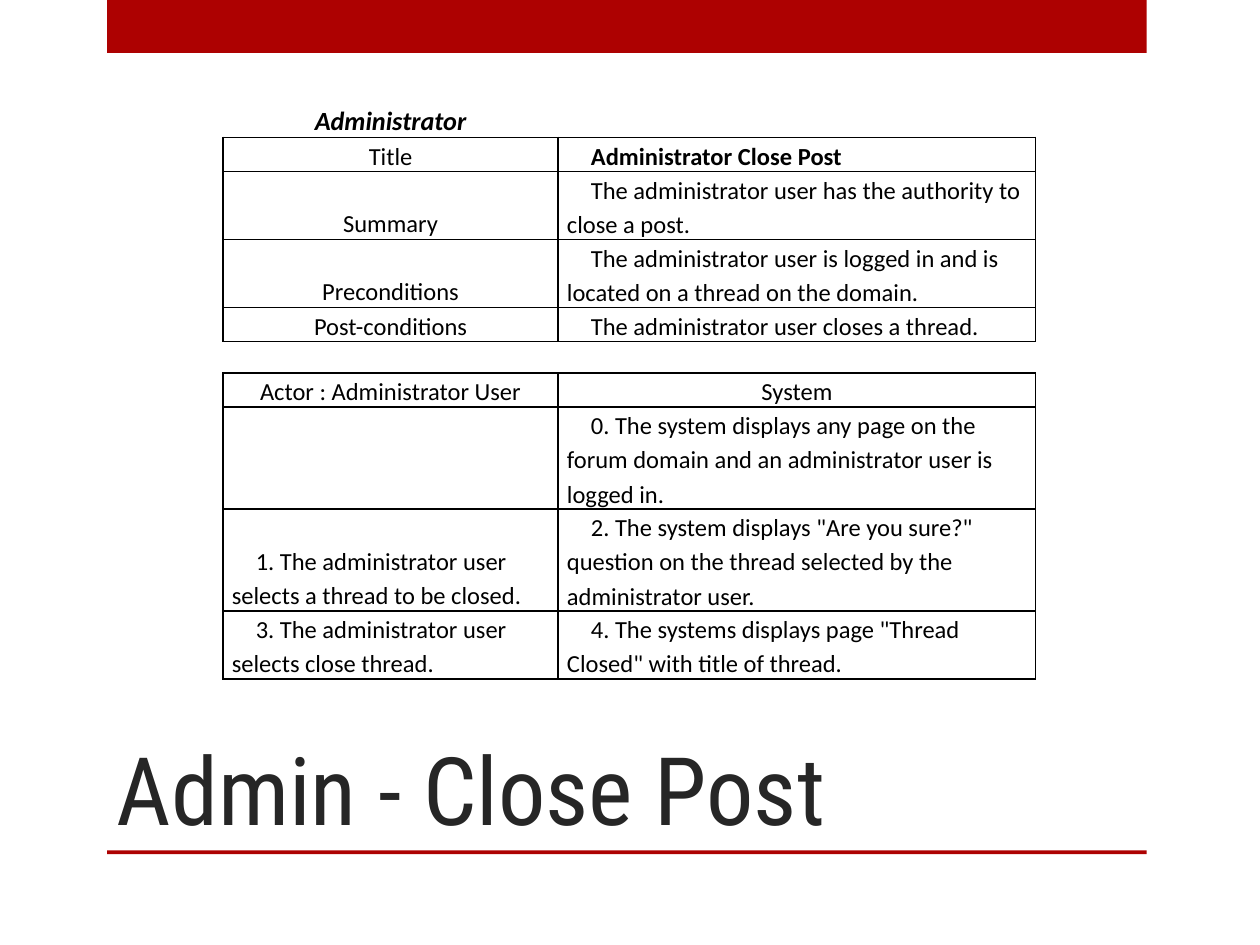
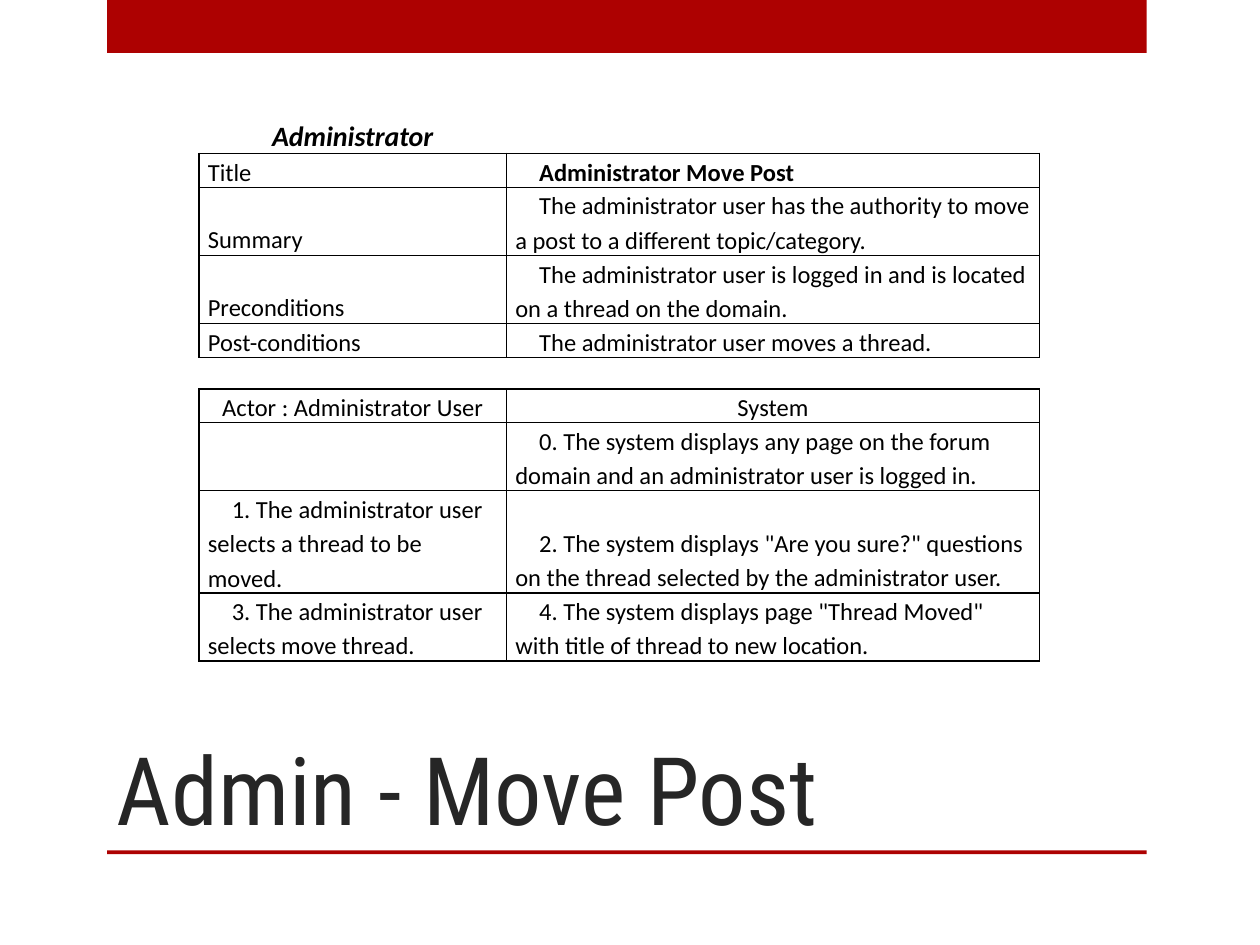
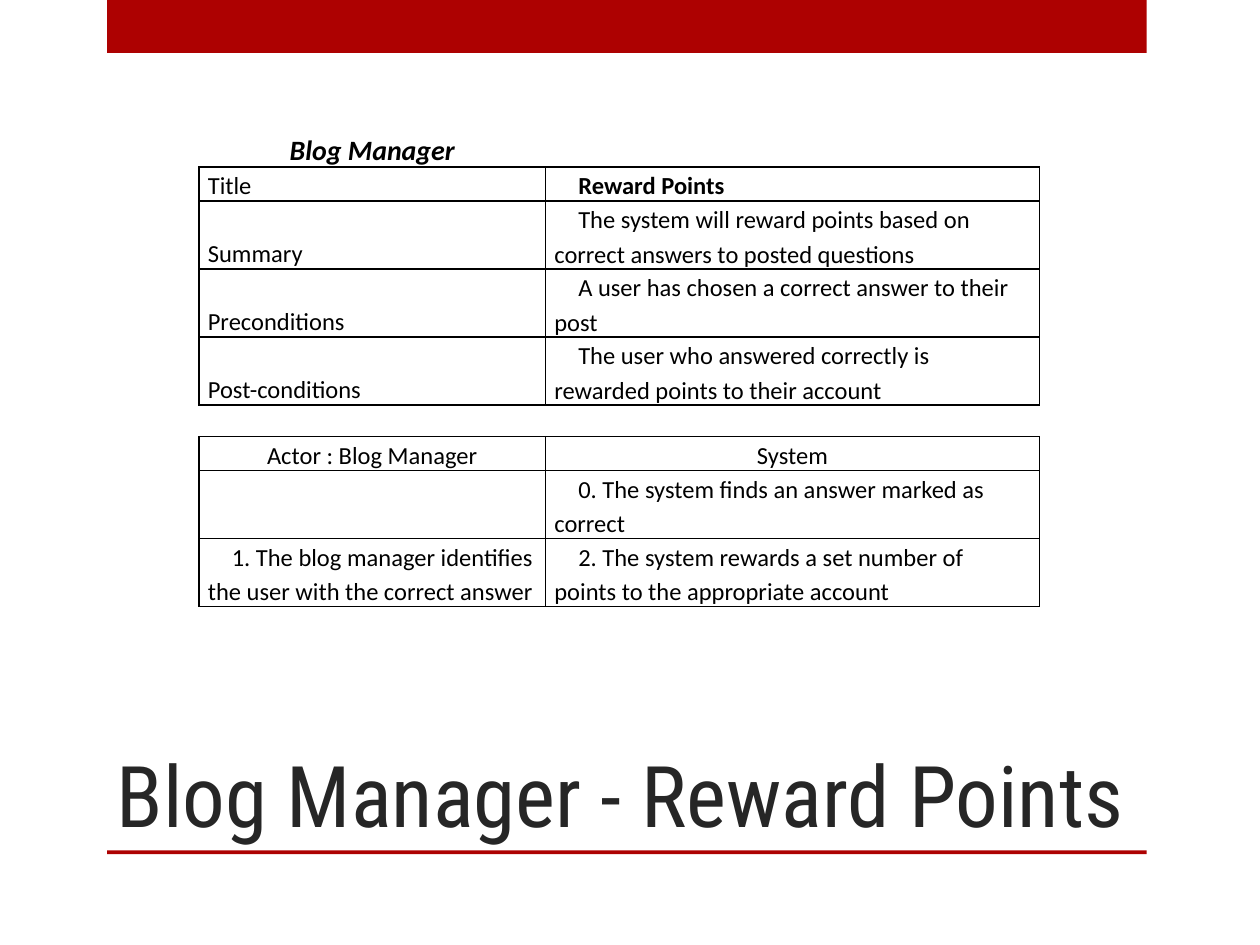
from lxml.etree import SubElement
from pptx import Presentation
from pptx.dml.color import RGBColor
from pptx.enum.shapes import MSO_SHAPE as SHAPE
from pptx.enum.text import MSO_ANCHOR as ANCHOR, PP_ALIGN as ALIGN
from pptx.oxml.ns import qn
from pptx.util import Inches, Pt

RED, INK, BLACK = "AD0101", "262626", "000000"
TITLE_FONT, BODY_FONT = "Roboto Condensed", "Calibri"
LINE_HEIGHT, HEADING_HEIGHT, GAP_HEIGHT = 0.27, 0.3, 0.25
FIELDS = ("Title", "Summary", "Preconditions", "Post-conditions")

USE_CASES = [
    dict(
        title="Admin - Close Post", title_size=54, title_width=7.42,
        box=(1.77, 0.79), cols=(2.66, 3.79), heading_size=15, label_align=ALIGN.CENTER,
        role="Administrator", actor="Administrator User",
        values=(
            ("Administrator Close Post", 1),
            ("The administrator user has the authority to close a post.", 2),
            ("The administrator user is logged in and is located on a thread on the domain.", 2),
            ("The administrator user closes a thread.", 1),
        ),
        steps=(
            ("", "0. The system displays any page on the forum domain and an administrator user is logged in.", 3),
            ("1. The administrator user selects a thread to be closed.",
             '2. The system displays "Are you sure?" question on the thread selected by the administrator user.', 3),
            ("3. The administrator user selects close thread.",
             '4. The systems displays page "Thread Closed" with title of thread.', 2),
        ),
    ),
    dict(
        title="Admin - Move Post", title_size=54, title_width=7.42,
        box=(1.58, 0.91), cols=(2.44, 4.23), heading_size=16, label_align=ALIGN.LEFT,
        role="Administrator", actor="Administrator User",
        values=(
            ("Administrator Move Post", 1),
            ("The administrator user has the authority to move a post to a different topic/category.", 2),
            ("The administrator user is logged in and is located on a thread on the domain.", 2),
            ("The administrator user moves a thread.", 1),
        ),
        steps=(
            ("", "0. The system displays any page on the forum domain and an administrator user is logged in.", 2),
            ("1. The administrator user selects a thread to be moved.",
             '2. The system displays "Are you sure?" questions on the thread selected by the administrator user.', 3),
            ("3. The administrator user selects move thread.",
             '4. The system displays page "Thread Moved" with title of thread to new location.', 2),
        ),
    ),
    dict(
        title="Blog Manager - Reward Points", title_size=48.6, title_width=8.72,
        box=(1.58, 1.02), cols=(2.75, 3.92), heading_size=16, label_align=ALIGN.LEFT,
        role="Blog Manager", actor="Blog Manager",
        values=(
            ("Reward Points", 1),
            ("The system will reward points based on correct answers to posted questions", 2),
            ("A user has chosen a correct answer to their post", 2),
            ("The user who answered correctly is rewarded points to their account", 2),
        ),
        steps=(
            ("", "0. The system finds an answer marked as correct", 2),
            ("1. The blog manager identifies the user with the correct answer",
             "2. The system rewards a set number of points to the appropriate account", 2),
        ),
    ),
]


def rgb(color):
    return RGBColor.from_string(color)


def add_run(p, text, font, size, color, bold=False, italic=False):
    r = p.add_run()
    r.text = text
    r.font.name, r.font.size = font, Pt(size)
    r.font.bold, r.font.italic = bold, italic
    r.font.color.rgb = rgb(color)


def add_band(s, top, height):
    sp = s.shapes.add_shape(SHAPE.RECTANGLE, Inches(0.85), Inches(top), Inches(8.25), Inches(height))
    sp.shadow.inherit = False
    sp.fill.solid()
    sp.fill.fore_color.rgb = rgb(RED)
    sp.line.fill.background()


def add_title(s, text, size, width):
    tf = s.shapes.add_textbox(Inches(0.83), Inches(5), Inches(width), Inches(1.75)).text_frame
    tf.word_wrap = True
    tf.vertical_anchor = ANCHOR.BOTTOM
    add_run(tf.paragraphs[0], text, TITLE_FONT, size, INK)


def style_cell(cell, sides):
    cell.margin_left = cell.margin_right = Inches(0.07)
    cell.margin_top = cell.margin_bottom = 0
    cell.vertical_anchor = ANCHOR.BOTTOM
    tc_pr = cell._tc.get_or_add_tcPr()
    for side in "LRTB":
        ln = SubElement(tc_pr, qn(f"a:ln{side}"), w=str(Pt(1)))
        if side in sides:
            fill = SubElement(ln, qn("a:solidFill"))
            SubElement(fill, qn("a:srgbClr"), val=BLACK)
        else:
            SubElement(ln, qn("a:noFill"))
    cell.fill.background()


def fill_cell(cell, text, align=None, size=14, bold=False, italic=False, sides="LRTB"):
    style_cell(cell, sides)
    p = cell.text_frame.paragraphs[0]
    if not text:
        SubElement(p._p, qn("a:endParaRPr"), sz="1200")
        return
    p.line_spacing = 1.15
    if align is None:
        p._p.get_or_add_pPr().set("indent", str(Inches(0.19)))
    else:
        p.alignment = align
    add_run(p, text, BODY_FONT, size, BLACK, bold, italic)


def add_use_case_table(s, box, cols, heading_size, label_align, role, actor, values, steps):
    heading = dict(align=ALIGN.CENTER, size=heading_size, bold=True, italic=True, sides="B")
    rows = [(HEADING_HEIGHT, (role, heading), ("", dict(sides="B")))]
    for field, (value, lines) in zip(FIELDS, values):
        rows.append((lines * LINE_HEIGHT, (field, dict(align=label_align)),
                     (value, dict(bold=field == "Title"))))
    rows.append((GAP_HEIGHT, ("", dict(sides="TB")), ("", dict(sides="TB"))))
    centred = dict(align=ALIGN.CENTER)
    rows.append((LINE_HEIGHT, (f"Actor : {actor}", centred), ("System", centred)))
    rows += [(lines * LINE_HEIGHT, (action, {}), (reply, {})) for action, reply, lines in steps]

    left, top = box
    height = sum(row[0] for row in rows)
    table = s.shapes.add_table(len(rows), len(cols), Inches(left), Inches(top),
                               Inches(sum(cols)), Inches(height)).table
    table.first_row = table.horz_banding = False
    for column, width in zip(table.columns, cols):
        column.width = Inches(width)
    for row, (row_height, *cells) in zip(table.rows, rows):
        row.height = Inches(row_height)
        for cell, (text, style) in zip(row.cells, cells):
            fill_cell(cell, text, **style)


def add_use_case_slide(prs, title, title_size, title_width, **table):
    s = prs.slides.add_slide(prs.slide_layouts[6])
    add_band(s, 0, 0.42)
    add_band(s, 6.75, 0.03)
    add_title(s, title, title_size, title_width)
    add_use_case_table(s, **table)


def main():
    prs = Presentation()
    prs.slide_width, prs.slide_height = Inches(10), Inches(7.5)
    for use_case in USE_CASES:
        add_use_case_slide(prs, **use_case)
    prs.save("out.pptx")


if __name__ == "__main__":
    main()
